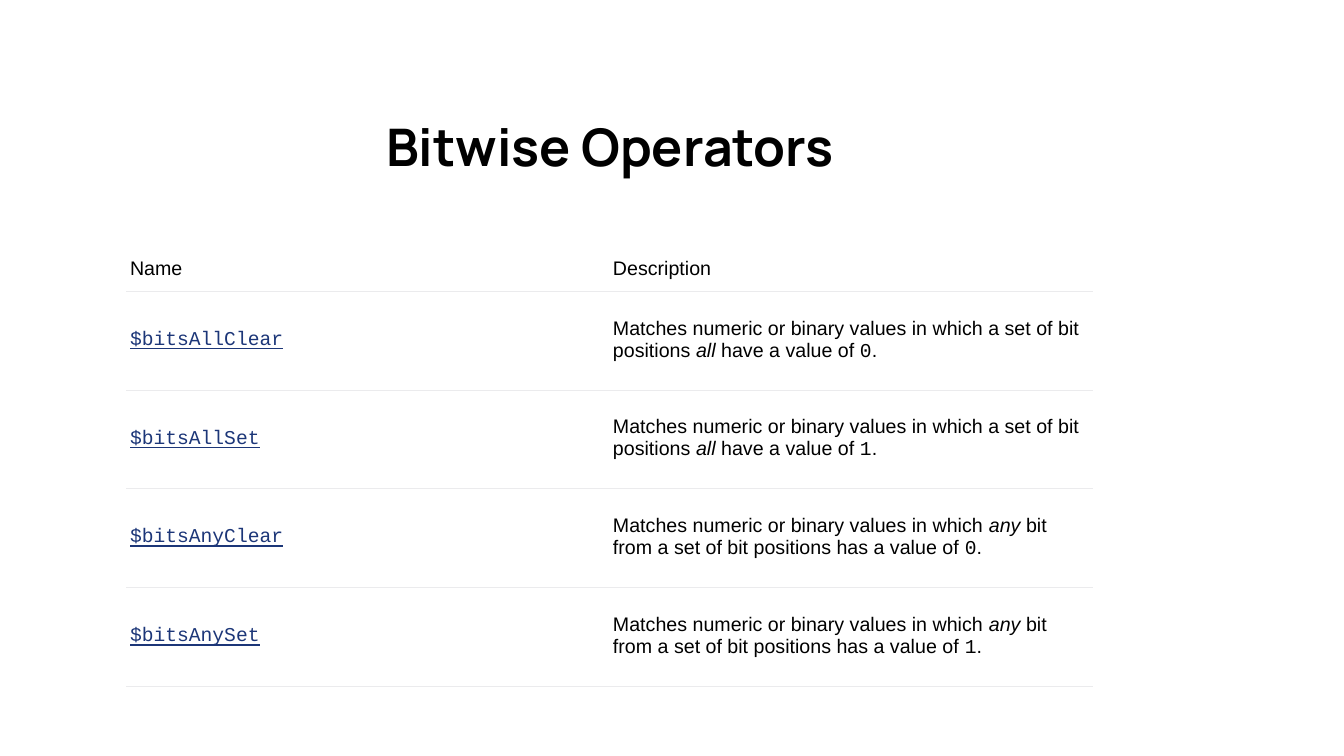
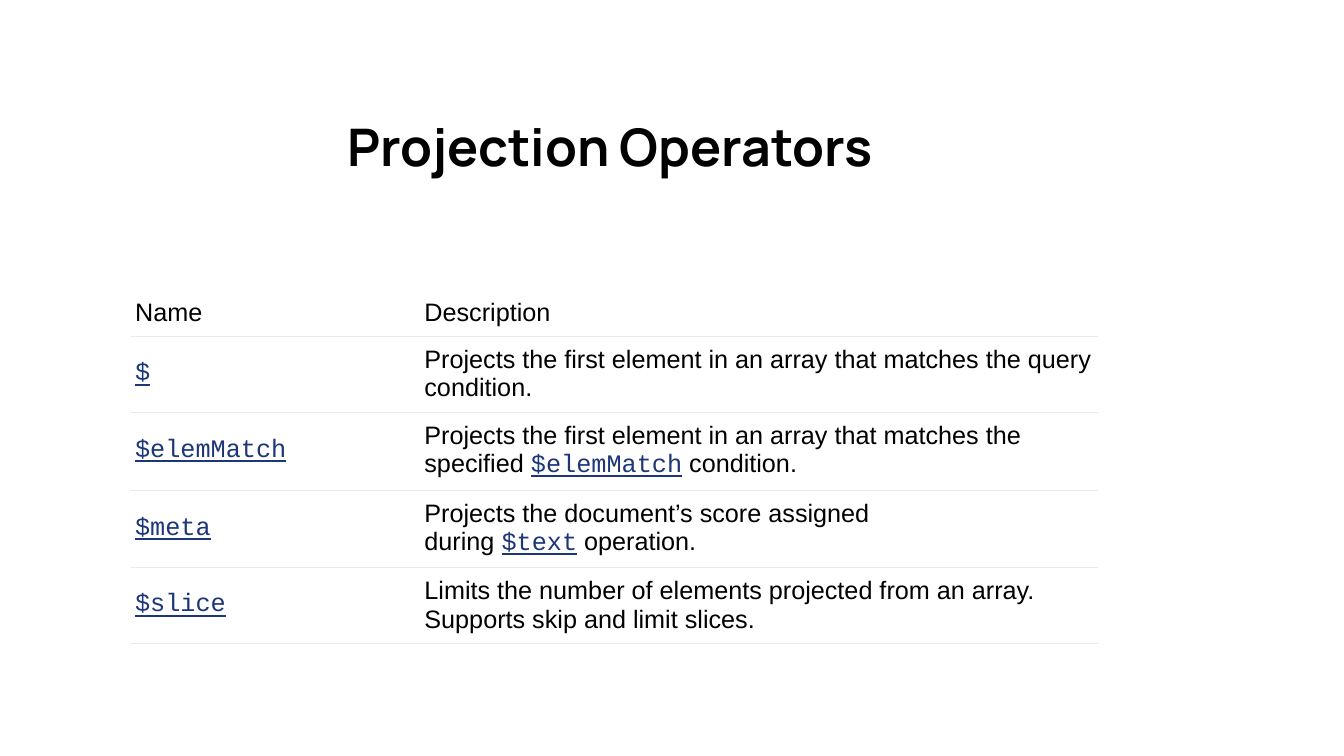
from lxml.etree import SubElement
from pptx import Presentation
from pptx.dml.color import RGBColor
from pptx.enum.text import MSO_ANCHOR, PP_ALIGN
from pptx.oxml.ns import qn
from pptx.util import Inches, Pt

BLACK = RGBColor(0x00, 0x00, 0x00)
WHITE = RGBColor(0xFF, 0xFF, 0xFF)
LINK_BLUE = RGBColor(0x1C, 0x36, 0x78)
RULE_GREY = RGBColor(0xEB, 0xEB, 0xED)
TITLE_FONT, BODY_FONT, CODE_FONT = "Manrope", "Arial", "Courier New"

# Run styles: font, colour, italic, underline
STYLES = {
    "plain": (BODY_FONT, BLACK, False, False),
    "em": (BODY_FONT, BLACK, True, False),
    "code": (CODE_FONT, BLACK, False, False),
    "link": (CODE_FONT, LINK_BLUE, False, True),
}
NO_BREAK_SPACE = chr(160)


class Deck:
    def __init__(self):
        self.prs = Presentation()
        self.prs.slide_width = Inches(13.33)
        self.prs.slide_height = Inches(7.5)
        self.slide = None

    def new_slide(self, title):
        self.slide = self.prs.slides.add_slide(self.prs.slide_layouts[5])
        sp = self.slide.shapes.title
        sp.left, sp.top = Inches(1.26), Inches(1.06)
        sp.width, sp.height = Inches(9.58), Inches(0.77)
        tf = sp.text_frame
        tf.text = title
        tf.vertical_anchor = MSO_ANCHOR.MIDDLE
        p = tf.paragraphs[0]
        p.alignment = PP_ALIGN.CENTER
        font = p.runs[0].font
        font.name, font.size, font.bold = TITLE_FONT, Pt(37), True
        font.color.rgb = BLACK

    def table(self, left, top, widths, heights, rows, size, side, pads):
        """pads holds the top inset of header and body, then the bottom inset."""
        frame = self.slide.shapes.add_table(
            len(rows), len(widths), Inches(left), Inches(top),
            Inches(sum(widths)), Inches(sum(heights)))
        table = frame.table
        table.first_row = table.horz_banding = False
        for column, width in zip(table.columns, widths):
            column.width = Inches(width)
        head_pad, body_pad, bottom_pad = pads
        for i, (row, height) in enumerate(zip(rows, heights)):
            table.rows[i].height = Inches(height)
            for j, parts in enumerate(row):
                cell = table.cell(i, j)
                cell.margin_left = cell.margin_right = Inches(side)
                cell.margin_top = Inches(body_pad if i else head_pad)
                cell.margin_bottom = Inches(bottom_pad)
                cell.vertical_anchor = MSO_ANCHOR.MIDDLE
                self.rules(cell, ("a:lnT", "a:lnB") if i else ("a:lnB",))
                cell.fill.solid()
                cell.fill.fore_color.rgb = WHITE
                self.runs(cell.text_frame.paragraphs[0], parts, size)

    def rules(self, cell, edges):
        tc_pr = cell._tc.get_or_add_tcPr()
        for edge in edges:
            line = SubElement(tc_pr, qn(edge), w=str(Pt(0.75)))
            fill = SubElement(line, qn("a:solidFill"))
            SubElement(fill, qn("a:srgbClr"), val=str(RULE_GREY))

    def runs(self, p, parts, size):
        for text, style in parts:
            r = p.add_run()
            r.text = text.replace("~", NO_BREAK_SPACE)
            font = r.font
            font.size = Pt(size)
            font.name, font.color.rgb, font.italic, font.underline = STYLES[style]


def plain(text):
    return [(text, "plain")]


def link(text):
    return [(text, "link")]


def bit_row(name, before, word, after, bit):
    return [link(name), [(before + "~", "plain"), (word, "em"),
                         ("~" + after + "~", "plain"), (bit, "code"), (".", "plain")]]


HEADER = [plain("Name"), plain("Description")]
# A tilde stands for a no-break space
MATCHES = "Matches numeric or binary values in which"
ALL_BITS = (MATCHES + " a set of bit positions", "all", "have a value of")
ANY_BIT = (MATCHES, "any", "bit from a set of bit positions has a value of")


def main():
    deck = Deck()

    # Bitwise operators
    deck.new_slide("Bitwise Operators")
    deck.table(1.26, 2.49, [4.79, 4.79], [0.4] + [0.98] * 4, [
        HEADER,
        bit_row("$bitsAllClear", *ALL_BITS, "0"),
        bit_row("$bitsAllSet", *ALL_BITS, "1"),
        bit_row("$bitsAnyClear", *ANY_BIT, "0"),
        bit_row("$bitsAnySet", *ANY_BIT, "1"),
    ], size=14, side=0.03, pads=(0.04, 0.07, 0.08))

    # Projection operators
    first = "Projects the first element in an array that matches the "
    deck.new_slide("Projection Operators")
    deck.table(1.3, 2.91, [2.87, 6.71], [0.4] + [0.75] * 4, [
        HEADER,
        [link("$"), plain(first + "query condition.")],
        [link("$elemMatch"),
         plain(first + "specified~") + link("$elemMatch") + plain("~condition.")],
        [link("$meta"),
         plain("Projects the document’s score assigned during~")
         + link("$text") + plain("~operation.")],
        [link("$slice"),
         plain("Limits the number of elements projected from an array. "
               "Supports skip and limit slices.")],
    ], size=18, side=0.04, pads=(0.05, 0.09, 0.1))

    deck.prs.save("out.pptx")


if __name__ == "__main__":
    main()
